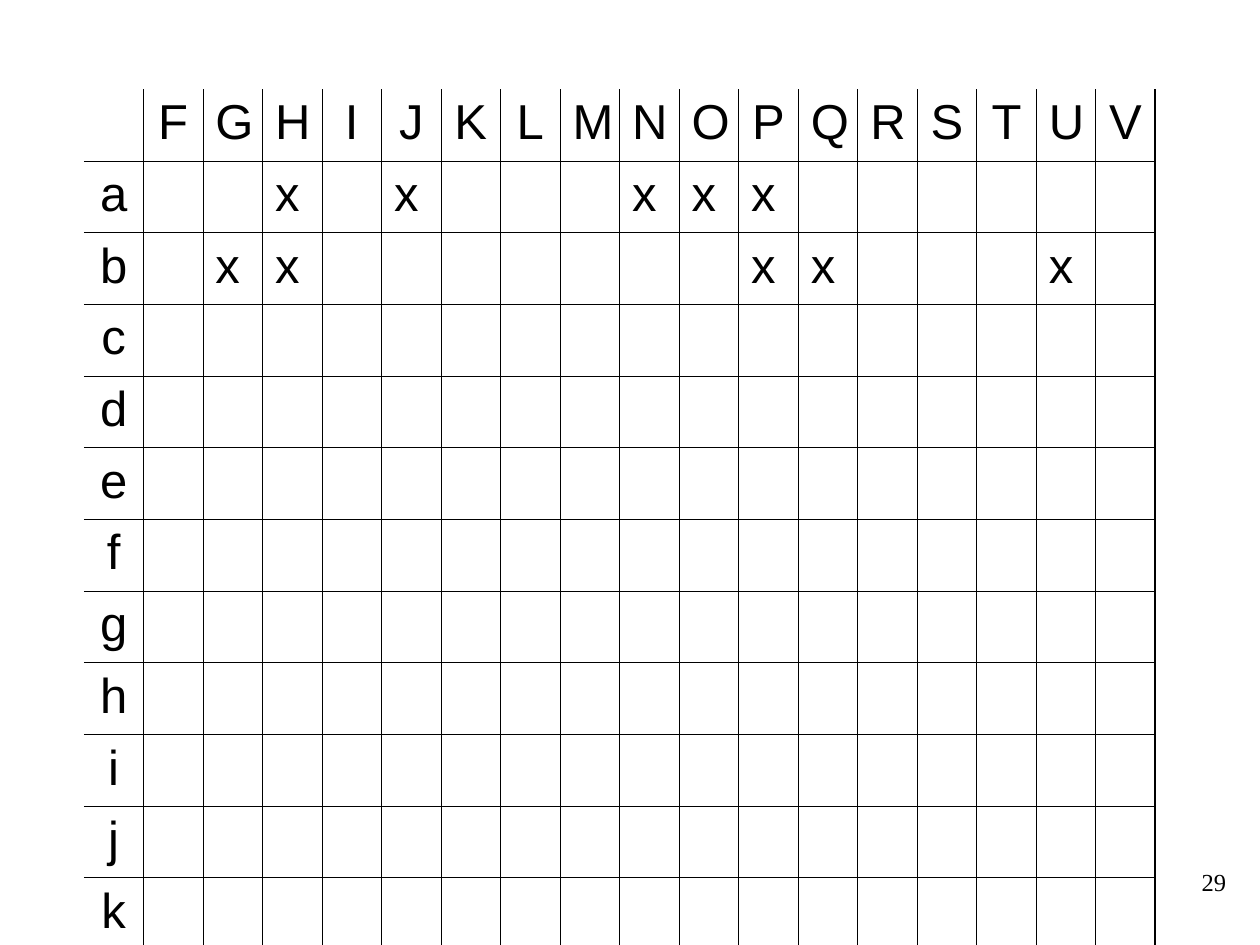
from lxml import etree
from pptx import Presentation
from pptx.dml.color import RGBColor
from pptx.enum.text import PP_ALIGN
from pptx.oxml.ns import qn
from pptx.util import Cm, Pt

BLACK = RGBColor(0, 0, 0)
LEFT, CENTER, RIGHT = PP_ALIGN.LEFT, PP_ALIGN.CENTER, PP_ALIGN.RIGHT
THIN, THICK = Pt(0.45), Pt(1.08)
HEADS = "FGHIJKLMNOPQRSTUV"
MARKS = {"a": "HJNOP", "b": "GHPQU"}
ROWS = "abcdefghijk"


def write(frame, text, font, size, align):
    """Put one run of text into a frame."""
    para = frame.paragraphs[0]
    para.alignment = align
    run = para.add_run()
    run.text = text
    run.font.name = font
    run.font.size = Pt(size)
    run.font.color.rgb = BLACK


def edge(cell, side, width):
    """Draw one border of a cell, or hide it when the width is zero."""
    line = etree.SubElement(cell._tc.get_or_add_tcPr(), qn(f"a:ln{side}"), w=str(width))
    if width:
        fill = etree.SubElement(line, qn("a:solidFill"))
        etree.SubElement(fill, qn("a:srgbClr"), val=str(BLACK))
    else:
        etree.SubElement(line, qn("a:noFill"))


def add_grid(slide, left, top, width, height):
    """Place the grid of marks in the given box."""
    labels = [""] + list(ROWS)
    heads = [""] + list(HEADS)
    last_row, last_col = len(ROWS), len(HEADS)
    table = slide.shapes.add_table(
        len(labels), len(heads), left, top, width, height
    ).table
    table.first_row = table.horz_banding = False
    for col in table.columns:
        col.width = int(width / len(heads))
    for r, label in enumerate(labels):
        table.rows[r].height = int(height / len(labels))
        for c, head in enumerate(heads):
            cell = table.cell(r, c)
            edge(cell, "L", THIN if c else 0)
            edge(cell, "R", THICK if c == last_col else THIN)
            edge(cell, "T", THIN if r else 0)
            edge(cell, "B", THICK if r == last_row else THIN)
            cell.fill.background()
            if r and c:
                text = "x" if head in MARKS.get(label, "") else ""
            else:
                text = label or head
            if text:
                align = LEFT if r and c else CENTER
                write(cell.text_frame, text, "Arial", 28, align)


def add_page(slide, left, top, width, height):
    """Place the page number in the given box."""
    frame = slide.shapes.add_textbox(left, top, width, height).text_frame
    frame.word_wrap = True
    write(frame, "29", "Times New Roman", 14, RIGHT)


def main():
    """Build and save the slide."""
    deck = Presentation()
    deck.slide_width, deck.slide_height = Cm(25.4), Cm(19.05)
    slide = deck.slides.add_slide(deck.slide_layouts[6])
    add_grid(slide, Cm(1.69), Cm(1.8), Cm(21.6), Cm(17.35))
    add_page(slide, Cm(19.69), Cm(17.35), Cm(5.28), Cm(1.27))
    deck.save("out.pptx")


if __name__ == "__main__":
    main()
